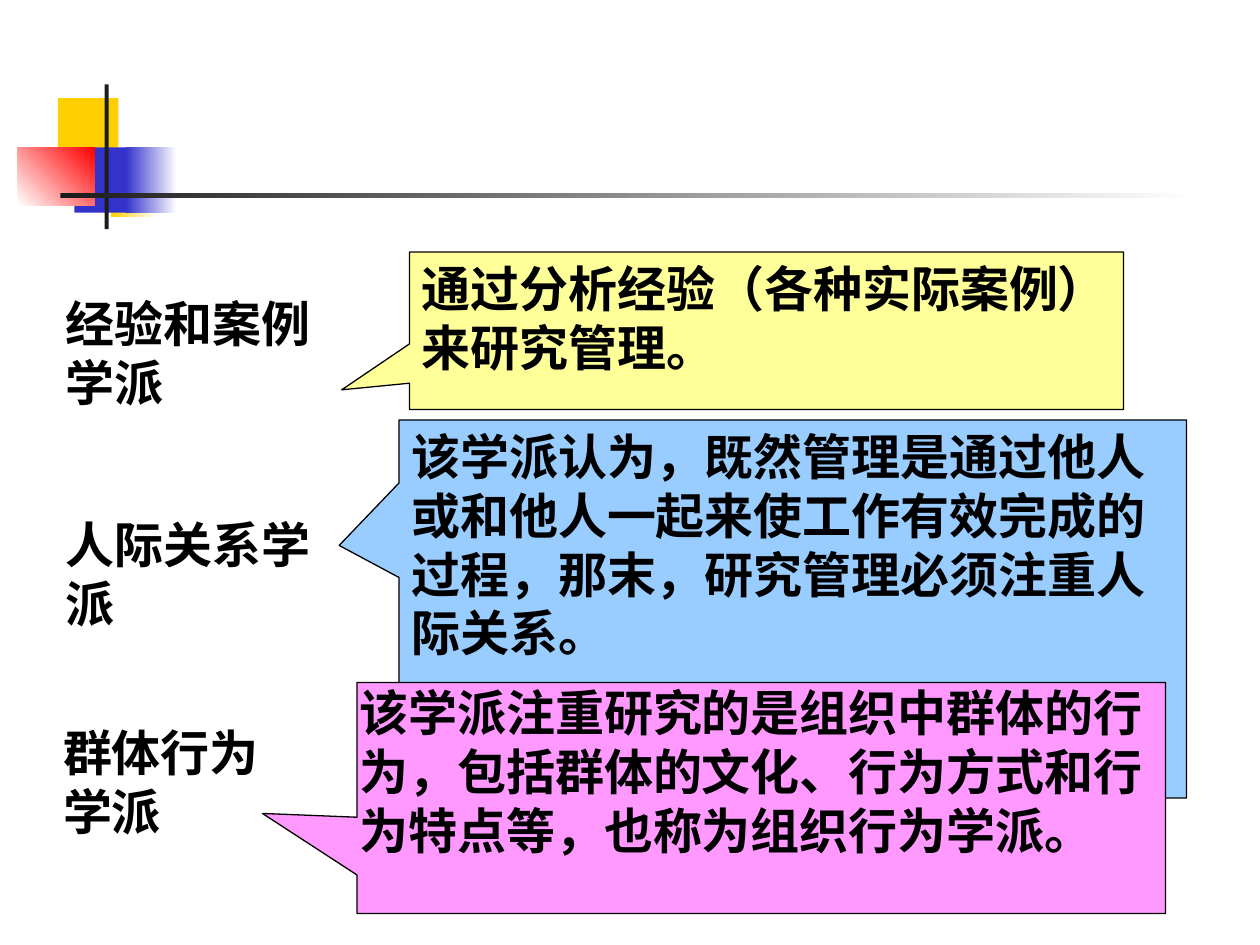
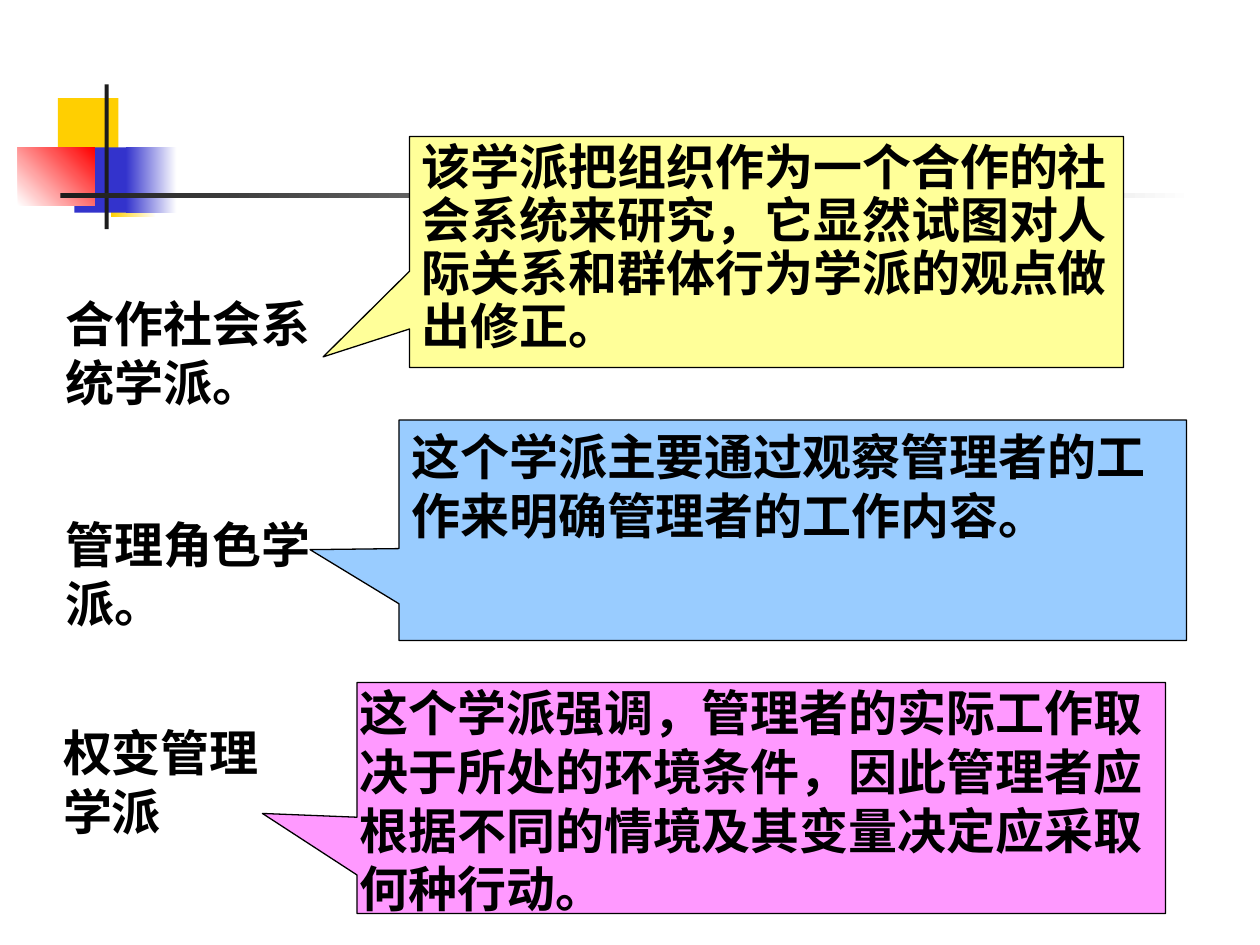
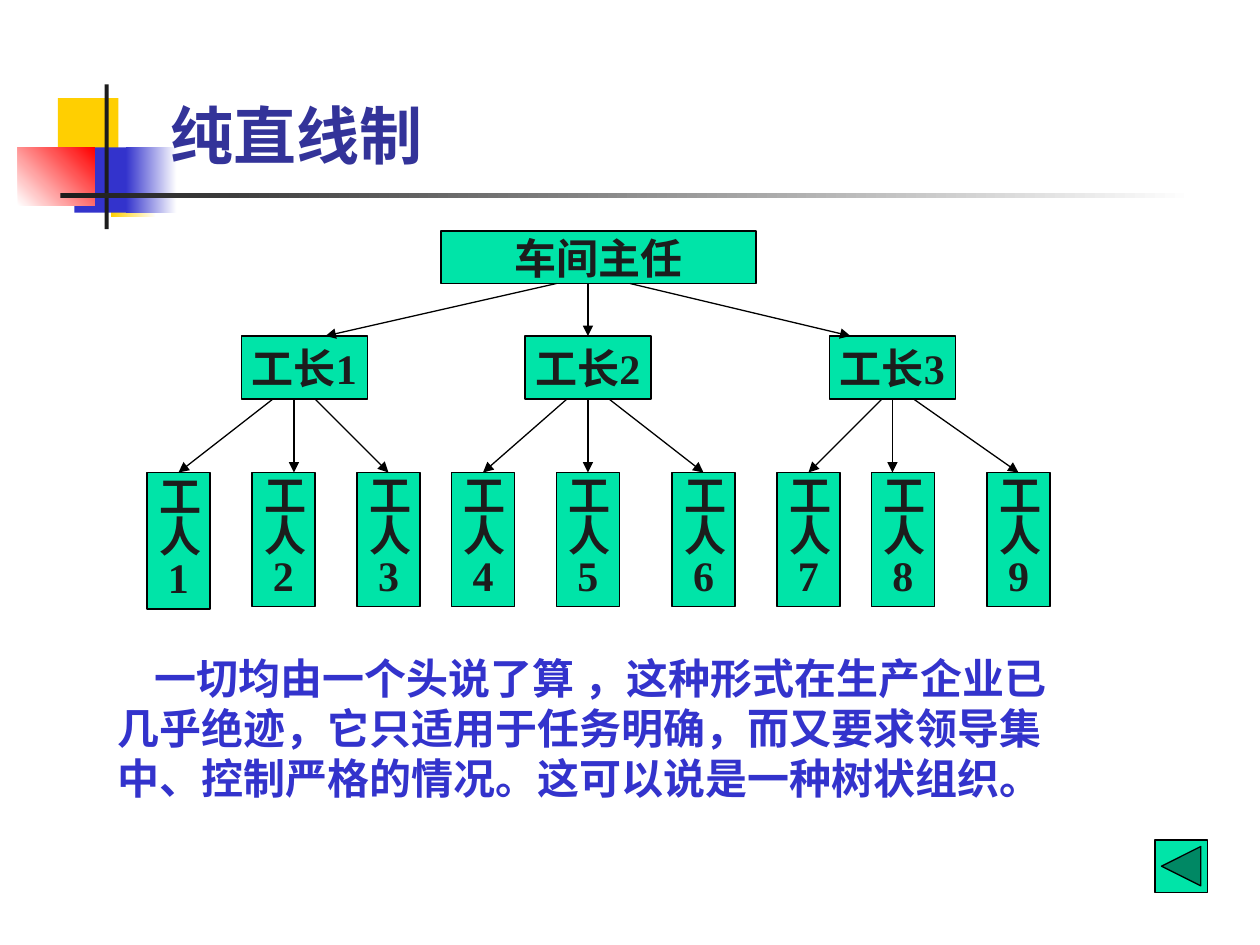
from lxml import etree
from pptx import Presentation
from pptx.dml.color import RGBColor
from pptx.enum.shapes import MSO_CONNECTOR, MSO_SHAPE
from pptx.enum.text import MSO_ANCHOR, MSO_AUTO_SIZE, PP_ALIGN
from pptx.oxml.ns import qn
from pptx.util import Cm, Pt

RECT = MSO_SHAPE.RECTANGLE
CALLOUT = MSO_SHAPE.RECTANGULAR_CALLOUT
BACK_BUTTON = MSO_SHAPE.ACTION_BUTTON_BACK_OR_PREVIOUS
STRAIGHT = MSO_CONNECTOR.STRAIGHT
TOP, MIDDLE, BOTTOM = MSO_ANCHOR.TOP, MSO_ANCHOR.MIDDLE, MSO_ANCHOR.BOTTOM
LEFT, CENTER = PP_ALIGN.LEFT, PP_ALIGN.CENTER
GROW = MSO_AUTO_SIZE.SHAPE_TO_FIT_TEXT
TOP_SIDE, BOTTOM_SIDE = 0, 2

COLORS = {
    "white": "FFFFFF", "black": "000000", "ink": "1C1C1C",
    "gold": "FFCF01", "blue": "3333CC", "red": "FF0000", "title": "333399",
    "yellow": "FFFF99", "sky": "99CCFF", "pink": "FF99FF", "green": "00E4A8",
}
SANS, SERIF, HEADING = "Noto Sans CJK SC", "Times New Roman", "Karla"

MOTIF = [
    ((1.17, 1.98, 1.22, 1.32), ["gold"], 0),
    ((2.24, 3.05, 0.91, 1.32), ["gold", "white"], 0),
    ((1.5, 2.97, 1.17, 1.32), ["blue"], 0),
    ((2.54, 2.97, 1.02, 1.32), ["blue", "white"], 0),
    ((0.36, 2.97, 1.55, 1.17), ["white", "red"], 45),
    ((2.11, 1.7, 0.08, 2.92), ["ink"], 0),
    ((1.22, 3.89, 22.86, 0.1), ["ink", "white"], 0),
]

WIDE, NARROW, NONE = (0.25, 0.13), (0.05, 0), (0, 0)
LABEL_STYLES = [
    ((6, 28, 28, 11.2), NARROW),
    ((6, 49, 28, 11.2), NARROW),
    ((6, 68.8, 20, 11.2), NONE),
]
CALLOUT_STYLES = [("yellow", WIDE), ("sky", WIDE), ("pink", NARROW)]

SCHOOLS = [
    [
        ("经验和案例学派", "通过分析经验（各种实际案例）来研究管理。",
         (39, 24, 68, 15), (-0.595, 0.375), 1),
        ("人际关系学派",
         "该学派认为，既然管理是通过他人或和他人一起来使工作有效完成的过程，那末，研究管理必须注重人际关系。",
         (38, 40, 75, 36), (-0.576, -0.168), 1),
        ("群体行为学派",
         "该学派注重研究的是组织中群体的行为，包括群体的文化、行为方式和行为特点等，也称为组织行为学派。",
         (34, 65, 77, 22), (-0.617, 0.067), 1),
    ],
    [
        ("合作社会系统学派。",
         "该学派把组织作为一个合作的社会系统来研究，它显然试图对人际关系和群体行为学派的观点做出修正。",
         (39, 13, 68, 22), (-0.621, 0.454), 0.9),
        ("管理角色学派。", "这个学派主要通过观察管理者的工作来明确管理者的工作内容。",
         (38, 40, 75, 21), (-0.613, 0.088), 1),
        ("权变管理学派",
         "这个学派强调，管理者的实际工作取决于所处的环境条件，因此管理者应根据不同的情境及其变量决定应采取何种行动。",
         (34, 65, 77, 22), (-0.617, 0.067), 1),
    ],
]

LINE_TITLE = "纯直线制"
DIRECTOR = "车间主任"
FOREMAN, WORKER = "工长", "工人"
FOREMAN_LEFTS = [23, 50, 79]
WORKER_LEFTS = [14, 24, 34, 43, 53, 64, 74, 83, 94]
DIRECTOR_LINKS = [(53, 31), (56, 56), (60, 81)]
FOREMAN_LINKS = [
    (26, 17), (28, 28), (30, 37),
    (54, 46), (56, 56), (58, 67),
    (84, 77), (85, 85), (87, 97),
]
SUMMARY = ("一切均由一个头说了算 ，这种形式在生产企业已几乎绝迹，它只适用于任务明确，"
           "而又要求领导集中、控制严格的情况。这可以说是一种树状组织。")


def grid(twelfths):
    return Cm(twelfths * 2.54 / 12)


def box(place):
    return [grid(n) for n in place]


def color(name):
    return RGBColor.from_string(COLORS[name])


def write(shape, text, size, ink="black", font=SANS, pad=WIDE, anchor=TOP,
          align=LEFT, spacing=1, wrap=True):
    frame = shape.text_frame
    frame.text = text
    frame.word_wrap = wrap
    frame.vertical_anchor = anchor
    frame.margin_left = frame.margin_right = Cm(pad[0])
    frame.margin_top = frame.margin_bottom = Cm(pad[1])
    paragraph = frame.paragraphs[0]
    paragraph.alignment = align
    paragraph.line_spacing = spacing
    run = paragraph.runs[0]
    run.font.name, run.font.size, run.font.bold = font, Pt(size), True
    run.font.color.rgb = color(ink)
    run.font.fill
    east_asian = etree.Element(qn("a:ea"), typeface=SANS)
    run.font._element.find(qn("a:latin")).addnext(east_asian)
    return paragraph


def add_filled(slide, preset, place, fill):
    shape = slide.shapes.add_shape(preset, *place)
    shape.shadow.inherit = False
    shape.fill.solid()
    shape.fill.fore_color.rgb = color(fill)
    shape.line.color.rgb = color("black")
    shape.line.width = Pt(0.75)
    return shape


def add_text(slide, place, text, size, **style):
    area = slide.shapes.add_textbox(*box(place))
    paragraph = write(area, text, size, **style)
    area.text_frame.auto_size = GROW
    return paragraph


def move_motif_to_master(slide, master):
    for position, (place, tones, angle) in enumerate(MOTIF):
        part = add_filled(slide, RECT, [Cm(n) for n in place], tones[0])
        part.line.fill.background()
        if len(tones) == 2:
            part.fill.gradient()
            part.fill.gradient_angle = angle
            for stop, tone in zip(part.fill.gradient_stops, tones):
                stop.color.rgb = color(tone)
        master.shapes.element.insert(2 + position, part.element)


def add_schools(slide, schools):
    for school, (label_place, label_pad), (fill, pad) in zip(
            schools, LABEL_STYLES, CALLOUT_STYLES):
        add_text(slide, label_place, school[0], 28, pad=label_pad)
    for school, (fill, pad) in zip(schools, CALLOUT_STYLES):
        _, view, place, tip, spacing = school
        callout = add_filled(slide, CALLOUT, box(place), fill)
        callout.adjustments[0], callout.adjustments[1] = tip
        write(callout, view, 28, pad=pad, spacing=spacing)


def add_post(slide, place, text, **style):
    post = add_filled(slide, RECT, box(place), "green")
    write(post, text, 24, "ink", SERIF, anchor=MIDDLE, align=CENTER, **style)
    return post


def is_middle(shape, x):
    return abs(shape.left + shape.width / 2 - grid(x)) < Cm(0.01)


def add_link(slide, boss, report, start_x, end_x):
    link = slide.shapes.add_connector(
        STRAIGHT, grid(start_x), boss.top + boss.height, grid(end_x), report.top)
    link.line.color.rgb = color("black")
    link.line.width = Pt(0.75)
    etree.SubElement(link.line._get_or_add_ln(), qn("a:tailEnd"), type="triangle")
    etree.SubElement(link._element.spPr, qn("a:effectLst"))
    if is_middle(boss, start_x):
        link.begin_connect(boss, BOTTOM_SIDE)
    if is_middle(report, end_x):
        link.end_connect(report, TOP_SIDE)


def add_line_structure(slide):
    title = slide.shapes.title
    title.left, title.top, title.width, title.height = box((15.1, 2, 102.2, 15))
    write(title, LINE_TITLE, 36, "title", HEADING, anchor=BOTTOM)

    director = add_post(slide, (42, 22, 30, 5), DIRECTOR, wrap=False)
    foremen = [add_post(slide, (left, 32, 12, 6), f"{FOREMAN}{number}", wrap=False)
               for number, left in enumerate(FOREMAN_LEFTS, 1)]
    workers = [add_post(slide, (left, 45, 6, 13 if number == 1 else 12.75),
                        f"{WORKER}{number}", spacing=0.8)
               for number, left in enumerate(WORKER_LEFTS, 1)]
    for foreman, ends in zip(foremen, DIRECTOR_LINKS):
        add_link(slide, director, foreman, *ends)
    for index, (worker, ends) in enumerate(zip(workers, FOREMAN_LINKS)):
        add_link(slide, foremen[index // 3], worker, *ends)

    summary = add_text(slide, (10, 61.5, 93, 15.6), SUMMARY, 24, ink="blue")
    summary._p.get_or_add_pPr().set("indent", str(Cm(0.75)))
    add_filled(slide, BACK_BUTTON, box((110, 80, 5, 5)), "green")


def main():
    prs = Presentation()
    prs.slide_width, prs.slide_height = Cm(25.4), Cm(19.05)
    title_only, blank = prs.slide_layouts[5], prs.slide_layouts[6]
    for schools in SCHOOLS:
        add_schools(prs.slides.add_slide(blank), schools)
    line_slide = prs.slides.add_slide(title_only)
    move_motif_to_master(line_slide, prs.slide_master)
    add_line_structure(line_slide)
    prs.save("out.pptx")


if __name__ == "__main__":
    main()
